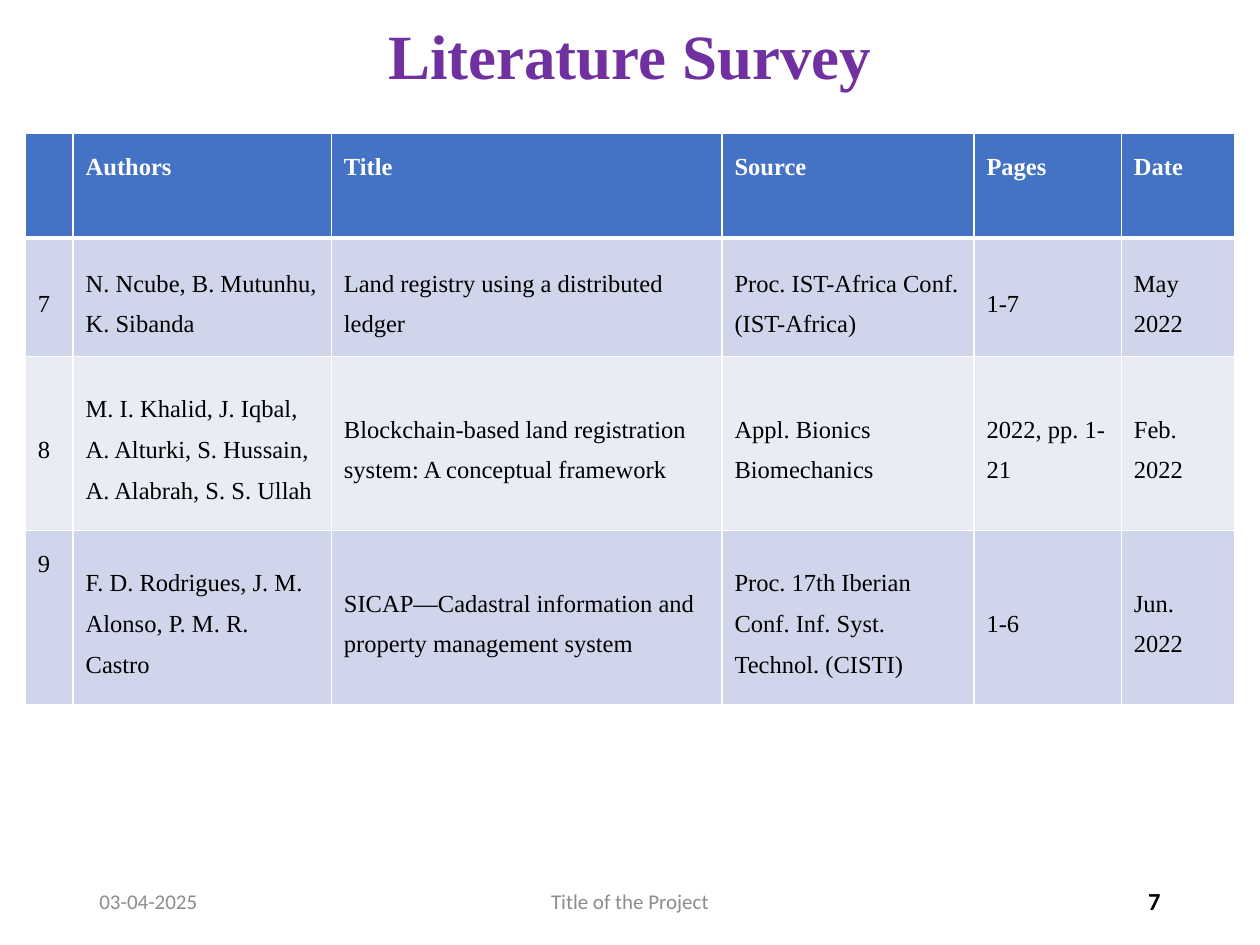
from lxml import etree
from pptx import Presentation
from pptx.dml.color import RGBColor
from pptx.enum.text import MSO_ANCHOR, MSO_AUTO_SIZE, PP_ALIGN
from pptx.oxml.ns import qn
from pptx.util import Inches, Pt

LEFT, CENTER, RIGHT = PP_ALIGN.LEFT, PP_ALIGN.CENTER, PP_ALIGN.RIGHT
TOP, MIDDLE = MSO_ANCHOR.TOP, MSO_ANCHOR.MIDDLE
NO_AUTOFIT = MSO_AUTO_SIZE.NONE
SERIF, SANS = "Times New Roman", "Calibri"
WHITE, BLACK, GREY, PURPLE = "FFFFFF", "000000", "8C8C8C", "7030A0"
HEADER_FILL, BAND_FILLS = "4472C4", ("E9EBF5", "CFD5EA")
COL_WIDTHS = (0.38, 2.05, 3.1, 2, 1.17, 0.9)
ROW_HEIGHTS = (0.83, 0.94, 1.38, 1.38)
ROWS = (
    ("", "Authors", "Title", "Source", "Pages", "Date"),
    ("7", "N. Ncube, B. Mutunhu, K. Sibanda",
     "Land registry using a distributed ledger",
     "Proc. IST-Africa Conf. (IST-Africa)", "1-7", "May 2022"),
    ("8", "M. I. Khalid, J. Iqbal, A. Alturki, S. Hussain, A. Alabrah, S. S. Ullah",
     "Blockchain-based land registration system: A conceptual framework",
     "Appl. Bionics Biomechanics", "2022, pp. 1-21", "Feb. 2022"),
    ("9", "F. D. Rodrigues, J. M. Alonso, P. M. R. Castro",
     "SICAP—Cadastral information and property management system",
     "Proc. 17th Iberian Conf. Inf. Syst. Technol. (CISTI)", "1-6", "Jun. 2022"),
)


def rgb(color):
    """Turn a hex string into a colour."""
    return RGBColor.from_string(color)


def write(tf, text, font, size, color, bold=False, align=LEFT, spacing=1.0):
    """Set and format the single paragraph of a text frame."""
    tf.word_wrap = True
    p = tf.paragraphs[0]
    p.text = text
    p.alignment = align
    p.line_spacing = spacing
    p.font.name, p.font.size, p.font.bold = font, Pt(size), bold
    p.font.color.rgb = rgb(color)
    for r in p.runs:
        r.font.name, r.font.size, r.font.bold = font, Pt(size), bold
        r.font.color.rgb = rgb(color)


def add_title(slide, text):
    """Place and format the title placeholder."""
    sp = slide.shapes.title
    sp.left, sp.top, sp.width, sp.height = map(Inches, (0.69, 0.18, 8.62, 0.58))
    tf = sp.text_frame
    tf.auto_size = NO_AUTOFIT
    tf.vertical_anchor = MIDDLE
    write(tf, text, SERIF, 36, PURPLE, True, CENTER, 0.9)


def add_footer(slide, text, left, width, align, size=12, color=GREY, bold=False):
    """Add one text of the footer line."""
    sp = slide.shapes.add_textbox(Inches(left), Inches(6.95), Inches(width), Inches(0.4))
    sp.text_frame.vertical_anchor = MIDDLE
    write(sp.text_frame, text, SANS, size, color, bold, align)


def set_border(cell, side, width):
    """Draw a white line on one side of a cell."""
    tc_pr = cell._tc.get_or_add_tcPr()
    ln = etree.SubElement(tc_pr, qn(f"a:ln{side}"), w=str(Pt(width)))
    fill = etree.SubElement(ln, qn("a:solidFill"))
    etree.SubElement(fill, qn("a:srgbClr"), val=WHITE)


def format_cell(cell, text, row, col):
    """Fill, border and write a cell according to its place."""
    header = row == 0
    for side in "LRTB":
        thick = (header and side == "B") or (row == 1 and side == "T")
        set_border(cell, side, 3 if thick else 1)
    cell.fill.solid()
    cell.fill.fore_color.rgb = rgb(HEADER_FILL if header else BAND_FILLS[row % 2])
    last_number = row == len(ROWS) - 1 and col == 0
    cell.vertical_anchor = TOP if header or last_number else MIDDLE
    write(cell.text_frame, text, SERIF, 14, WHITE if header else BLACK, header, spacing=1.5)


def add_survey_table(slide):
    """Add the table of surveyed papers."""
    table = slide.shapes.add_table(
        len(ROWS), len(COL_WIDTHS), Inches(0.2), Inches(1.06),
        Inches(sum(COL_WIDTHS)), Inches(sum(ROW_HEIGHTS))).table
    for column, width in zip(table.columns, COL_WIDTHS):
        column.width = Inches(width)
    for row, height in zip(table.rows, ROW_HEIGHTS):
        row.height = Inches(height)
    for i, texts in enumerate(ROWS):
        for j, text in enumerate(texts):
            format_cell(table.cell(i, j), text, i, j)


def main():
    """Build the literature survey slide."""
    prs = Presentation()
    prs.slide_width, prs.slide_height = Inches(10), Inches(7.5)
    slide = prs.slides.add_slide(prs.slide_layouts[5])
    add_title(slide, "Literature Survey")
    add_footer(slide, "03-04-2025", 0.69, 2.25, LEFT)
    add_footer(slide, "7", 7.06, 2.25, RIGHT, 14, BLACK, True)
    add_footer(slide, "Title of the Project", 3.31, 3.38, CENTER)
    add_survey_table(slide)
    prs.save("out.pptx")


if __name__ == "__main__":
    main()
